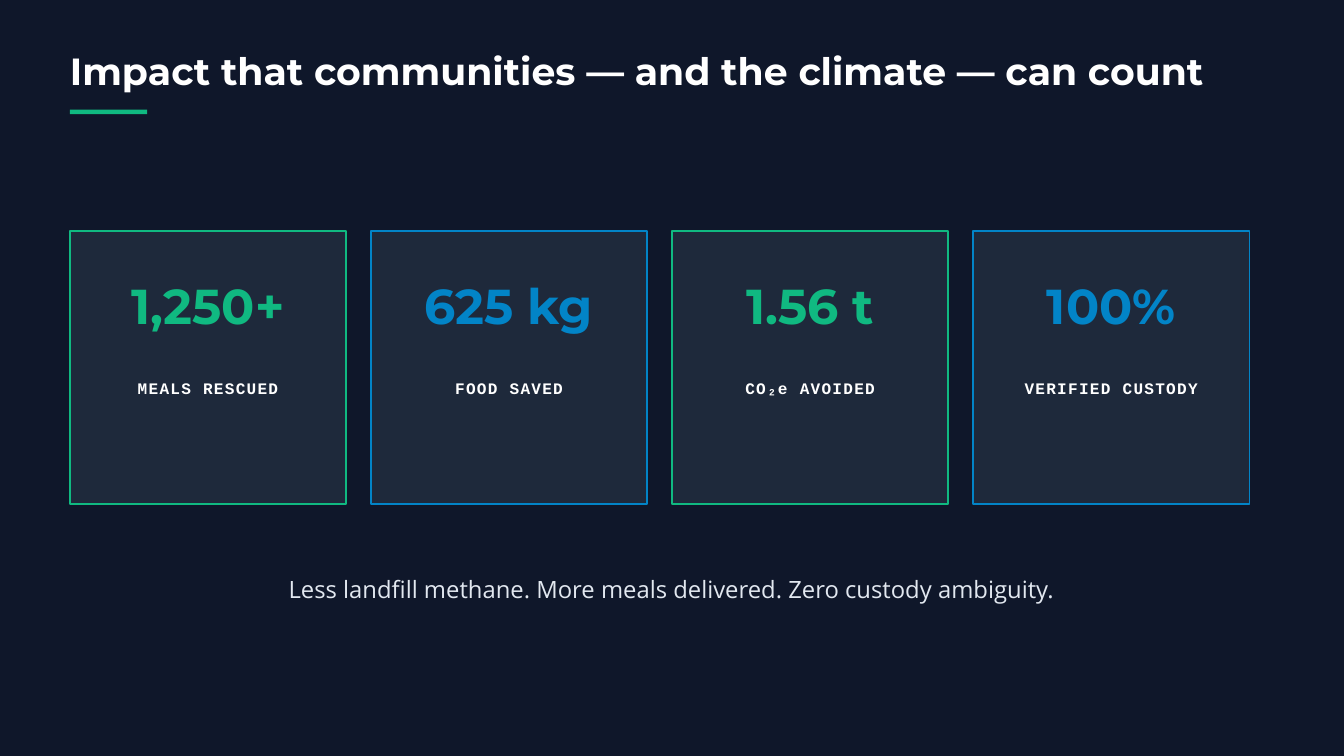
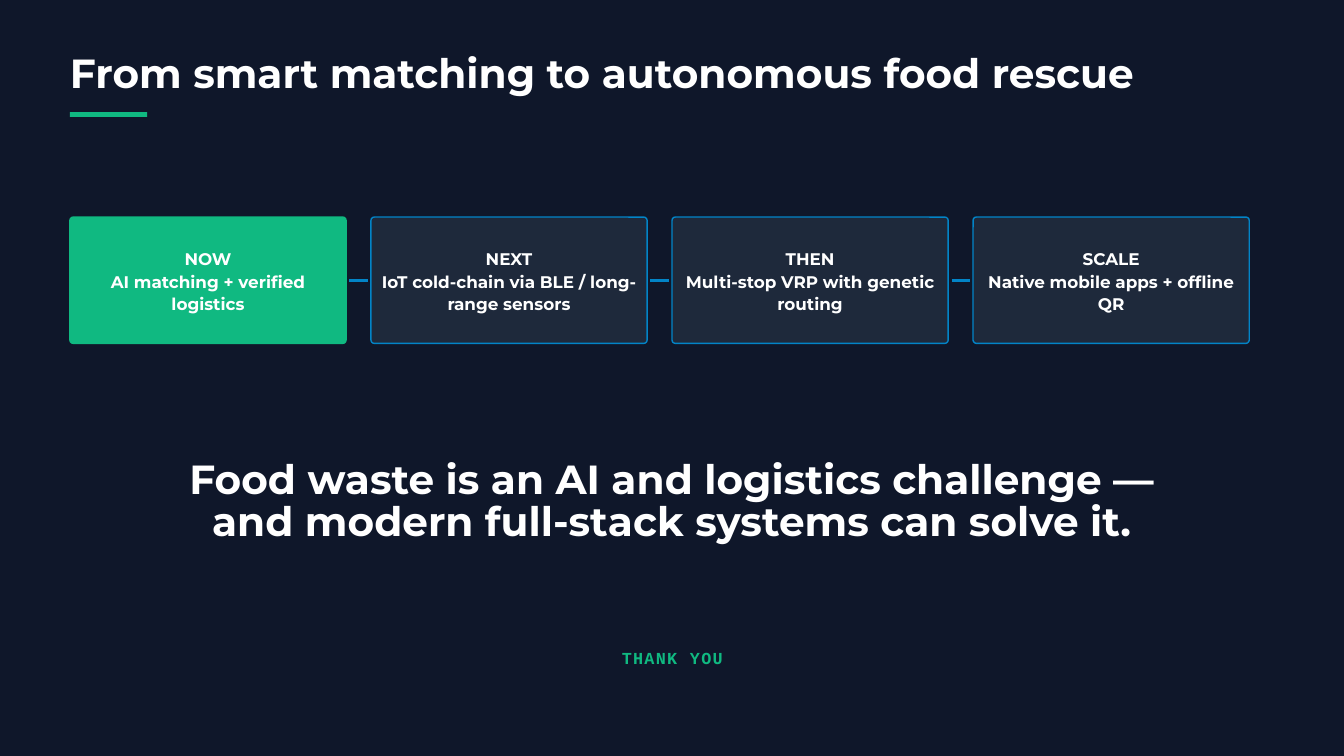
from dataclasses import dataclass

from lxml import etree
from pptx import Presentation
from pptx import util as u
from pptx.dml import color
from pptx.enum import shapes, text
from pptx.oxml import ns
from pptx.shapes.autoshape import Shape
from pptx.slide import Slide

COLORS = {
    "night": "0F172A",
    "panel": "1E293B",
    "green": "10B981",
    "blue": "0284C7",
    "white": "FFFFFF",
    "mist": "E2E8F0",
}
MARGIN = 1.04
COLUMN_WIDTH = 4.11
COLUMN_PITCH = 4.48
CARD_TOP = 3.44
CARD_PADDING = 0.26
STEP_TOP = 3.23
STEP_HEIGHT = 1.88
STEP_RADIUS = 0.05
LINK_GAP = 0.05


@dataclass(frozen=True)
class Box:
    left: float
    top: float
    width: float
    height: float

    def lengths(self) -> tuple[u.Length, ...]:
        return tuple(map(u.Inches, (self.left, self.top, self.width, self.height)))


@dataclass(frozen=True)
class Style:
    size: float
    leading: float
    font: str = "Montserrat"
    hue: str = "white"
    bold: bool = True
    centered: bool = True
    spacing: float = 0


@dataclass(frozen=True)
class Metric:
    value: str
    label: str
    hue: str


@dataclass(frozen=True)
class Step:
    phase: str
    plan: str
    fill: str = "panel"
    border: str = "blue"


METRICS = [
    Metric("1,250+", "MEALS RESCUED", "green"),
    Metric("625 kg", "FOOD SAVED", "blue"),
    Metric("1.56 t", "CO₂e AVOIDED", "green"),
    Metric("100%", "VERIFIED CUSTODY", "blue"),
]
STEPS = [
    Step("NOW", "AI matching + verified logistics", "green", "green"),
    Step("NEXT", "IoT cold-chain via BLE / long-range sensors"),
    Step("THEN", "Multi-stop VRP with genetic routing"),
    Step("SCALE", "Native mobile apps + offline QR"),
]
METRIC_LABEL = Style(17.2, 24.1, "Courier New", spacing=1.4)
TAGLINE = Style(25.5, 34.4, "Open Sans", "mist", bold=False)
STEP_TEXT = Style(18, 24.3)
CLOSING = Style(43.5, 45.7)
THANKS = Style(18, 25.2, "Courier New", "green", spacing=1.4)


def rgb(hue: str) -> color.RGBColor:
    return color.RGBColor.from_string(COLORS[hue])


def column_left(index: int) -> float:
    return MARGIN + index * COLUMN_PITCH


def write(shape: Shape, wording: str, style: Style, inset: float = 0) -> None:
    frame = shape.text_frame
    frame.text = wording
    frame.word_wrap = True
    frame.margin_left = frame.margin_right = u.Inches(inset)
    frame.margin_top = frame.margin_bottom = u.Inches(inset)
    for paragraph in frame.paragraphs:
        paragraph.alignment = text.PP_ALIGN.CENTER if style.centered else text.PP_ALIGN.LEFT
        paragraph.line_spacing = u.Pt(style.leading)
        for run in paragraph.runs:
            run.font.name = style.font
            run.font.size = u.Pt(style.size)
            run.font.bold = style.bold
            run.font.color.rgb = rgb(style.hue)
            if style.spacing:
                run._r.get_or_add_rPr().set("spc", str(round(style.spacing * 100)))


def add_text(slide: Slide, box: Box, wording: str, style: Style) -> None:
    caption = slide.shapes.add_textbox(*box.lengths())
    write(caption, wording, style)
    caption.text_frame.auto_size = text.MSO_AUTO_SIZE.SHAPE_TO_FIT_TEXT


def add_panel(slide: Slide, box: Box, fill: str, border: str | None = None,
              radius: float = 0) -> Shape:
    kind = shapes.MSO_SHAPE.ROUNDED_RECTANGLE if radius else shapes.MSO_SHAPE.RECTANGLE
    panel = slide.shapes.add_shape(kind, *box.lengths())
    panel.shadow.inherit = False
    panel.fill.solid()
    panel.fill.fore_color.rgb = rgb(fill)
    if radius:
        panel.adjustments[0] = radius / min(box.width, box.height)
    if border:
        panel.line.color.rgb = rgb(border)
        panel.line.width = u.Pt(1.5)
    else:
        panel.line.fill.background()
    return panel


def add_link(slide: Slide, start: float, end: float, level: float) -> None:
    link = slide.shapes.add_connector(
        shapes.MSO_CONNECTOR.STRAIGHT,
        u.Inches(start), u.Inches(level), u.Inches(end), u.Inches(level))
    link.line.color.rgb = rgb("blue")
    link.line.width = u.Pt(3)
    etree.SubElement(link._element.spPr, ns.qn("a:effectLst"))


def start_slide(deck: Presentation, title: str, style: Style, title_height: float,
                rule_top: float) -> Slide:
    slide = deck.slides.add_slide(deck.slide_layouts[6])
    slide.background.fill.solid()
    slide.background.fill.fore_color.rgb = rgb("night")
    add_text(slide, Box(MARGIN, 0.8, 17.92, title_height), title, style)
    add_panel(slide, Box(MARGIN, rule_top, 1.15, 0.07), "green")
    return slide


def add_metric(slide: Slide, index: int, metric: Metric) -> None:
    left = column_left(index)
    inner_left = left + CARD_PADDING
    inner_width = COLUMN_WIDTH - 2 * CARD_PADDING
    add_panel(slide, Box(left, CARD_TOP, COLUMN_WIDTH, 4.06), "panel", metric.hue)
    add_text(slide, Box(inner_left, 3.96, inner_width, 0.98), metric.value,
             Style(52.5, 73.5, hue=metric.hue))
    add_text(slide, Box(inner_left, 5.58, inner_width, 0.33), metric.label, METRIC_LABEL)


def add_step(slide: Slide, index: int, step: Step) -> None:
    left = column_left(index)
    if index:
        previous_right = column_left(index - 1) + COLUMN_WIDTH
        add_link(slide, previous_right + LINK_GAP, left - LINK_GAP,
                 STEP_TOP + STEP_HEIGHT / 2)
    card = add_panel(slide, Box(left, STEP_TOP, COLUMN_WIDTH, STEP_HEIGHT),
                     step.fill, step.border, STEP_RADIUS)
    write(card, f"{step.phase}\n{step.plan}", STEP_TEXT, inset=0.06)
    card.text_frame.vertical_anchor = text.MSO_ANCHOR.MIDDLE


def build_impact(deck: Presentation) -> None:
    slide = start_slide(deck, "Impact that communities — and the climate — can count",
                        Style(40.5, 42.5, centered=False), 0.59, 1.63)
    for index, metric in enumerate(METRICS):
        add_metric(slide, index, metric)
    add_text(slide, Box(3.12, 8.5, 13.75, 0.46),
             "Less landfill methane. More meals delivered. Zero custody ambiguity.", TAGLINE)


def build_roadmap(deck: Presentation) -> None:
    slide = start_slide(deck, "From smart matching to autonomous food rescue",
                        Style(43.5, 45.7, centered=False), 0.64, 1.67)
    for index, step in enumerate(STEPS):
        add_step(slide, index, step)
    add_text(slide, Box(2.29, 6.84, 15.42, 1.27),
             "Food waste is an AI and logistics challenge —\n"
             "and modern full-stack systems can solve it.", CLOSING)
    add_text(slide, Box(7.92, 9.59, 4.17, 0.34), "THANK YOU", THANKS)


def main() -> None:
    deck = Presentation()
    deck.slide_width = u.Inches(20)
    deck.slide_height = u.Inches(11.25)
    build_impact(deck)
    build_roadmap(deck)
    deck.save("out.pptx")


if __name__ == "__main__":
    main()
